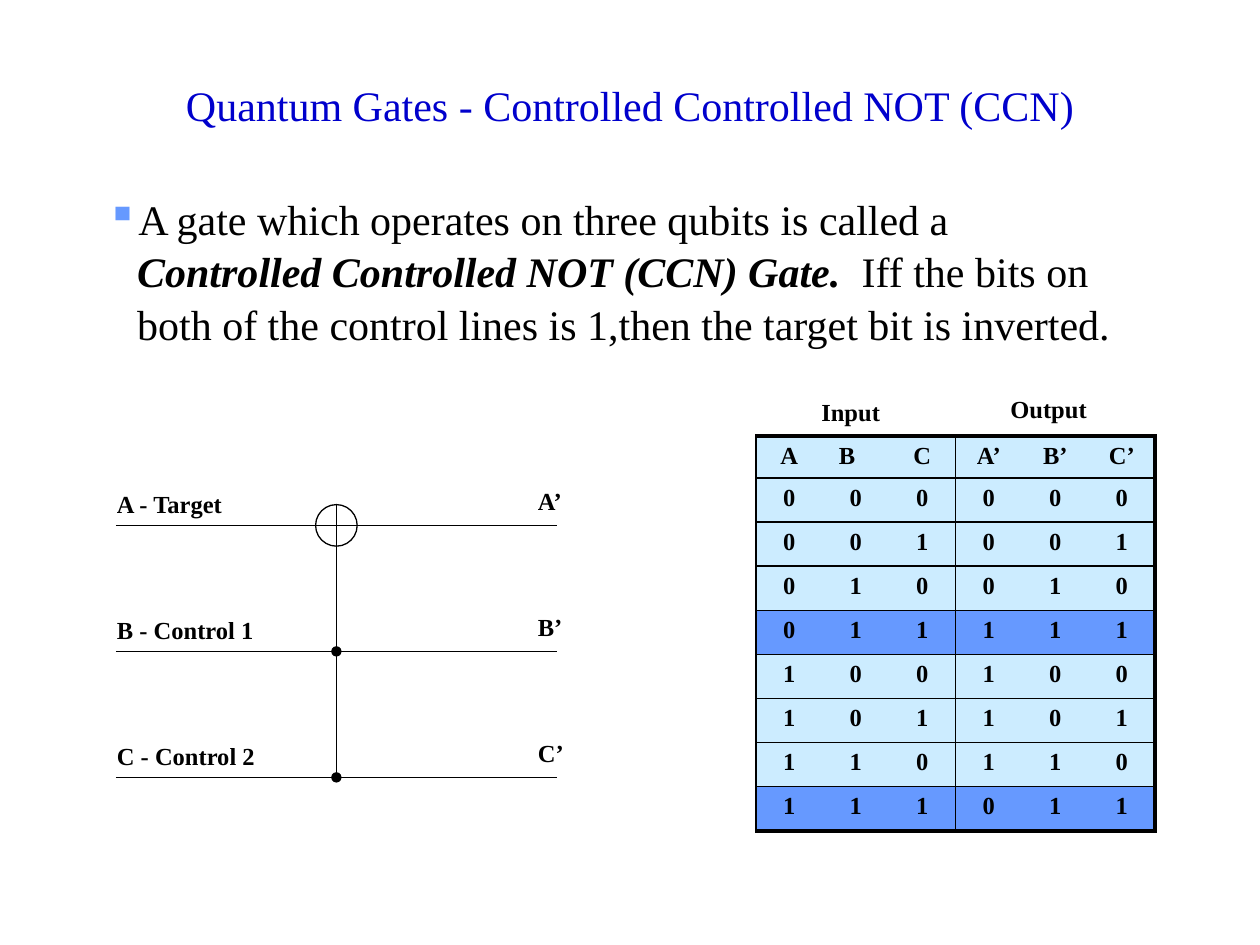
"""Build the slide on the Controlled Controlled NOT gate with its circuit and truth table."""
from itertools import product
from lxml.etree import SubElement
from pptx import Presentation
from pptx.dml.color import RGBColor
from pptx.enum.shapes import MSO_CONNECTOR, MSO_SHAPE
from pptx.enum.text import MSO_ANCHOR, PP_ALIGN
from pptx.oxml.ns import qn
from pptx.util import Inches, Pt

THEME = {
    "font": "Times New Roman", "heading": 24, "label": 14,
    "title": "0000CC", "ink": "000000", "bullet": "6699FF",
    "cell": "CCECFF", "highlight": "6699FF",
    "thin": 0.75, "rule": 1, "frame": 2.25,
}
TITLE = "Quantum Gates - Controlled Controlled NOT (CCN)"
DEFINITION = [
    ("A gate which operates on three qubits is called a ", False),
    ("Controlled Controlled NOT (CCN) Gate.  ", True),
    ("Iff the bits on both of the control lines is 1,then the target bit is inverted.", False),
]
WIRES = [("A - Target", "A’"), ("B - Control 1", "B’"), ("C - Control 2", "C’")]
GROUPS = [("Input", 6.42, 3.1, 0.73), ("Output", 7.92, 3.08, 0.92)]
HEADER = ["A", "B", "C", "A’", "B’", "C’"]
OUTPUTS = ["000", "001", "010", "111", "100", "101", "110", "011"]
INPUTS = ["".join(bits) for bits in product("01", repeat=3)]
TRUTH = [HEADER] + [list(i + o) for i, o in zip(INPUTS, OUTPUTS)]
HIGHLIGHTED = {4, 8}

WIRE_LEFT, WIRE_RIGHT, WIRE_TOP, WIRE_GAP = 0.92, 4.42, 4.17, 1
GATE_X, GATE_SIZE = (WIRE_LEFT + WIRE_RIGHT) / 2, 0.33
TABLE_LEFT, TABLE_TOP, TABLE_WIDTH = 6, 3.46, 3.17
HEADER_HEIGHT, ROW_HEIGHT, LABEL_HEIGHT = 0.33, 0.35, 0.33


def style(font, size, color="ink", bold=False):
    font.name, font.size, font.bold = THEME["font"], Pt(size), bold
    font.color.rgb = RGBColor.from_string(THEME[color])


def add_text(slide, text, left, top, width, height=LABEL_HEIGHT,
             size=THEME["label"], color="ink", bold=True):
    box = slide.shapes.add_textbox(*map(Inches, (left, top, width, height)))
    box.text_frame.word_wrap = True
    paragraph = box.text_frame.paragraphs[0]
    paragraph.text = text
    style(paragraph.font, size, color, bold)
    return box.text_frame


def add_wire(slide, x1, y1, x2, y2, dot=False):
    wire = slide.shapes.add_connector(MSO_CONNECTOR.STRAIGHT, *map(Inches, (x1, y1, x2, y2)))
    wire.line.width = Pt(THEME["thin"])
    wire.line.color.rgb = RGBColor.from_string(THEME["ink"])
    if dot:
        SubElement(wire._element.spPr.find(qn("a:ln")), qn("a:tailEnd"), type="oval")
    SubElement(wire._element.spPr, qn("a:effectLst"))


def add_definition(slide):
    frame = add_text(slide, "", 0.75, 1.47, 8.28, 1.3, THEME["heading"], bold=False)
    paragraph = frame.paragraphs[0]
    paragraph.line_spacing = 1.04
    for text, emphasis in DEFINITION:
        run = paragraph.add_run()
        run.text = text
        style(run.font, THEME["heading"], bold=emphasis)
        run.font.italic = emphasis
    props = paragraph._p.get_or_add_pPr()
    props.set("marL", str(Inches(0.24)))
    props.set("indent", str(-Inches(0.24)))
    bullet_color = SubElement(props, qn("a:buClr"))
    SubElement(bullet_color, qn("a:srgbClr"), val=THEME["bullet"])
    SubElement(props, qn("a:buChar"), char="▪")
    props.append(props.find(qn("a:defRPr")))


def add_circuit(slide):
    levels = [WIRE_TOP + i * WIRE_GAP for i in range(len(WIRES))]
    radius = GATE_SIZE / 2
    gate = slide.shapes.add_shape(
        MSO_SHAPE.FLOWCHART_OR,
        *map(Inches, (GATE_X - radius, WIRE_TOP - radius, GATE_SIZE, GATE_SIZE)))
    gate.shadow.inherit = False
    gate.fill.background()
    gate.line.width = Pt(THEME["thin"])
    gate.line.color.rgb = RGBColor.from_string(THEME["ink"])
    add_wire(slide, WIRE_LEFT, WIRE_TOP, GATE_X - radius, WIRE_TOP)
    add_wire(slide, GATE_X + radius, WIRE_TOP, WIRE_RIGHT, WIRE_TOP)
    for y in levels[1:]:
        add_wire(slide, WIRE_LEFT, y, WIRE_RIGHT, y)
    for start, end in zip([WIRE_TOP + radius] + levels[1:], levels[1:]):
        add_wire(slide, GATE_X, start, GATE_X, end, dot=True)
    for (name, result), y in zip(WIRES, levels):
        add_text(slide, name, WIRE_LEFT - 0.09, y - 0.34, 1.4)
        add_text(slide, result, WIRE_RIGHT - 0.25, y - 0.36, 0.52)


def set_borders(cell, widths):
    props = cell._tc.get_or_add_tcPr()
    for index, (side, width) in enumerate(widths.items()):
        line = props.makeelement(qn(f"a:ln{side}"), {"w": str(Pt(width))})
        fill = SubElement(line, qn("a:solidFill" if width else "a:noFill"))
        if width:
            SubElement(fill, qn("a:srgbClr"), val=THEME["ink"])
        props.insert(index, line)


def add_truth_table(slide):
    rows, cols = len(TRUTH), len(HEADER)
    heights = [HEADER_HEIGHT] + [ROW_HEIGHT] * (rows - 1)
    table = slide.shapes.add_table(
        rows, cols, *map(Inches, (TABLE_LEFT, TABLE_TOP, TABLE_WIDTH, sum(heights)))).table
    for column in table.columns:
        column.width = Inches(TABLE_WIDTH / cols)
    rule, frame = THEME["rule"], THEME["frame"]
    for r, values in enumerate(TRUTH):
        table.rows[r].height = Inches(heights[r])
        for c, value in enumerate(values):
            cell = table.cell(r, c)
            cell.text = value
            paragraph = cell.text_frame.paragraphs[0]
            paragraph.alignment = PP_ALIGN.CENTER
            style(paragraph.font, THEME["label"], bold=True)
            cell.fill.solid()
            shade = "highlight" if r in HIGHLIGHTED else "cell"
            cell.fill.fore_color.rgb = RGBColor.from_string(THEME[shade])
            set_borders(cell, {
                "L": rule if c % 3 == 0 else 0,
                "R": frame if c == cols - 1 else rule if c % 3 == 2 else 0,
                "T": frame if r == 0 else rule,
                "B": frame if r == rows - 1 else rule,
            })
    table.cell(0, 1).margin_right = Inches(0.24)


def main():
    deck = Presentation()
    deck.slide_width, deck.slide_height = Inches(10), Inches(7.5)
    slide = deck.slides.add_slide(deck.slide_layouts[6])
    title = add_text(slide, TITLE, 0.29, 0.58, 9.42, 0.5, THEME["heading"], "title", False)
    title.vertical_anchor = MSO_ANCHOR.MIDDLE
    title.paragraphs[0].alignment = PP_ALIGN.CENTER
    add_circuit(slide)
    add_truth_table(slide)
    for group in GROUPS:
        add_text(slide, *group)
    add_definition(slide)
    deck.save("out.pptx")


if __name__ == "__main__":
    main()
